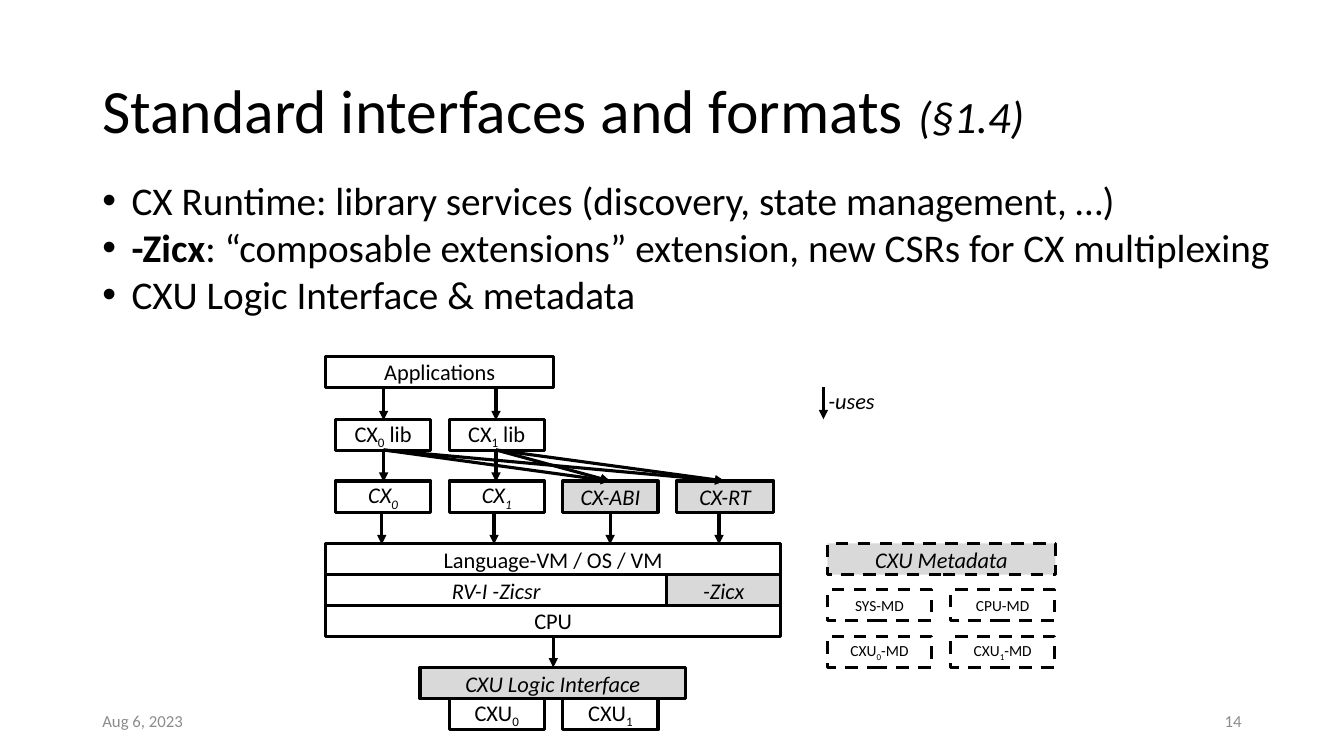
from dataclasses import dataclass
from typing import Optional

from lxml import etree
from pptx import Presentation
from pptx.dml.color import RGBColor
from pptx.enum.dml import MSO_LINE
from pptx.enum.shapes import MSO_CONNECTOR, MSO_SHAPE
from pptx.enum.text import MSO_ANCHOR, PP_ALIGN
from pptx.oxml.ns import qn
from pptx.util import Pt

BLACK = RGBColor(0x00, 0x00, 0x00)
WHITE = RGBColor(0xFF, 0xFF, 0xFF)
SHADE = RGBColor(0xD9, 0xD9, 0xD9)
GREY = RGBColor(0x8C, 0x8C, 0x8C)

LINE_W = 2.25
BOX_H = 22.3
UNIT_W = 68
STACK_X, STACK_W = 232.6, 325
META_X, META_W, META_STEP = 591, 74.4, 88
# Tops of the diagram rows
APPS, LIBS, EXTS, VM, ISA, CPU, LOGIC, UNITS = (
    254.4, 299.6, 343.6, 388.2, 410.4, 432.2, 476.8, 499)


def col(i: int) -> float:
    """Left edge of a column of extension boxes."""
    return 239.6 + 81.2 * i


@dataclass
class Box:
    label: str  # "_" makes the next character a subscript
    x: float
    y: float
    w: float = UNIT_W
    fill: Optional[RGBColor] = None
    italic: bool = False
    dashed: bool = False
    size: float = 16


@dataclass
class Arrow:
    x1: float
    y1: float
    x2: float
    y2: float


BOXES = [
    Box("Applications", STACK_X, APPS, 163),
    *[Box(f"CX_{i} lib", col(i), LIBS) for i in range(2)],
    Box("CX_0", col(0), EXTS, italic=True),
    Box("CX_1", col(1), EXTS, fill=WHITE, italic=True),
    Box("CX-ABI", col(2), EXTS, fill=SHADE, italic=True),
    Box("CX-RT", col(3), EXTS, 69.4, SHADE, True),
    Box("Language-VM / OS / VM", STACK_X, VM, STACK_W),
    Box("RV-I -Zicsr", STACK_X, ISA, 243.7, italic=True),
    Box("-Zicx", STACK_X + 243.7, ISA, 81.3, SHADE, True),
    Box("CPU", STACK_X, CPU, STACK_W),
    Box("CXU Logic Interface", 300, LOGIC, 189.6, SHADE, True),
    *[Box(f"CXU_{i}", col(i + 1), UNITS) for i in range(2)],
    Box("CXU Metadata", META_X, VM, 163, SHADE, True, True),
    *[Box(label, META_X + META_STEP * (i % 2), 421.2 + 33.3 * (i // 2), META_W,
          dashed=True, size=11)
      for i, label in enumerate(["SYS-MD", "CPU-MD", "CXU_0-MD", "CXU_1-MD"])],
]

DROP = 23  # length of a vertical arrow
LIB_XS = (274, 354.3)
ARROWS = [
    *[Arrow(x, y, x, y + DROP) for x in LIB_XS for y in (277.2, 321.2)],
    *[Arrow(x, 365.8, x, 365.8 + DROP) for x in (272.7, 352.9, 435.8, 513.6)],
    *[Arrow(x, 321.4, target, EXTS) for target in (435.8, 517.5) for x in LIB_XS],
    Arrow(395.2, 453.8, 395.2, 453.8 + DROP),
    Arrow(588.2, 276.5, 588.2, 276.5 + DROP),  # legend
]


def add_run(p, text: str, **formats) -> None:
    """Add a run; baseline is a percentage, the rest are font attributes."""
    r = p.add_run()
    r.text = text
    baseline = formats.pop("baseline", 0)
    values = {"name": "Calibri", **formats}
    color = values.pop("color", BLACK)
    for key, value in values.items():
        setattr(r.font, key, value)
    r.font.color.rgb = color
    if baseline:
        r.font._element.set("baseline", str(baseline * 1000))


def add_text(s, x: float, y: float, w: float, h: float,
             anchor=MSO_ANCHOR.TOP, wrap: bool = True):
    tf = s.shapes.add_textbox(Pt(x), Pt(y), Pt(w), Pt(h)).text_frame
    for key, value in {"word_wrap": wrap, "vertical_anchor": anchor}.items():
        setattr(tf, key, value)
    return tf


def add_bullet(p) -> None:
    pPr = p._p.get_or_add_pPr()
    for key, value in {"marL": Pt(20.9), "indent": -Pt(20.9)}.items():
        pPr.set(key, str(int(value)))
    etree.SubElement(pPr, qn("a:buFont")).set("typeface", "Arial")
    etree.SubElement(pPr, qn("a:buChar")).set("char", "•")


def add_box(s, box: Box) -> None:
    sp = s.shapes.add_shape(MSO_SHAPE.RECTANGLE, Pt(box.x), Pt(box.y),
                            Pt(box.w), Pt(BOX_H))
    sp.shadow.inherit = False
    if box.fill is None:
        sp.fill.background()
    else:
        sp.fill.solid()
        sp.fill.fore_color.rgb = box.fill
    sp.line.color.rgb = BLACK
    sp.line.width = Pt(LINE_W)
    if box.dashed:
        sp.line.dash_style = MSO_LINE.DASH
    tf = sp.text_frame
    frame = {"margin_left": 0, "margin_right": 0, "margin_top": 0,
             "margin_bottom": 0, "word_wrap": True,
             "vertical_anchor": MSO_ANCHOR.MIDDLE}
    for key, value in frame.items():
        setattr(tf, key, value)
    p = tf.paragraphs[0]
    p.alignment = PP_ALIGN.CENTER
    head, _, tail = box.label.partition("_")
    for text, baseline in ((head, 0), (tail[:1], -25), (tail[1:], 0)):
        if text:
            add_run(p, text, size=Pt(box.size), italic=box.italic, baseline=baseline)


def add_arrow(s, arrow: Arrow) -> None:
    line = s.shapes.add_connector(MSO_CONNECTOR.STRAIGHT, Pt(arrow.x1), Pt(arrow.y1),
                                  Pt(arrow.x2), Pt(arrow.y2))
    line.line.color.rgb = BLACK
    line.line.width = Pt(LINE_W)
    etree.SubElement(line.line._get_or_add_ln(), qn("a:tailEnd")).set("type", "triangle")
    etree.SubElement(line._element.spPr, qn("a:effectLst"))


def main() -> None:
    prs = Presentation()
    prs.slide_width, prs.slide_height = Pt(960), Pt(540)
    s = prs.slides.add_slide(prs.slide_layouts[6])

    # Title
    p = add_text(s, 66, 28.8, 828, 104.4, MSO_ANCHOR.MIDDLE).paragraphs[0]
    p.line_spacing = 0.9
    add_run(p, "Standard interfaces and formats ", size=Pt(44))
    add_run(p, "(§1.4)", size=Pt(32), italic=True)

    # Bullets: (bold lead, text)
    bullets = [
        ("", "CX Runtime: library services (discovery, state management, …)"),
        ("-Zicx", ": “composable extensions” extension, new CSRs for CX multiplexing"),
        ("", "CXU Logic Interface & metadata"),
    ]
    tf = add_text(s, 66, 122.4, 877.7, 342.7)
    for i, (lead, text) in enumerate(bullets):
        p = tf.add_paragraph() if i else tf.paragraphs[0]
        add_bullet(p)
        if lead:
            add_run(p, lead, size=Pt(28), bold=True)
        add_run(p, text, size=Pt(28))

    # Footer
    for x, text, align in ((66, "Aug 6, 2023", PP_ALIGN.LEFT), (678, "14", PP_ALIGN.RIGHT)):
        p = add_text(s, x, 500.4, 216, 28.8, MSO_ANCHOR.MIDDLE).paragraphs[0]
        p.alignment = align
        add_run(p, text, size=Pt(12), color=GREY)

    # Diagram and legend
    for box in BOXES:
        add_box(s, box)
    for arrow in ARROWS:
        add_arrow(s, arrow)
    p = add_text(s, 584.6, 272.9, 55.4, 30.2, wrap=False).paragraphs[0]
    add_run(p, "-uses", size=Pt(16), italic=True)

    prs.save("out.pptx")


if __name__ == "__main__":
    main()
